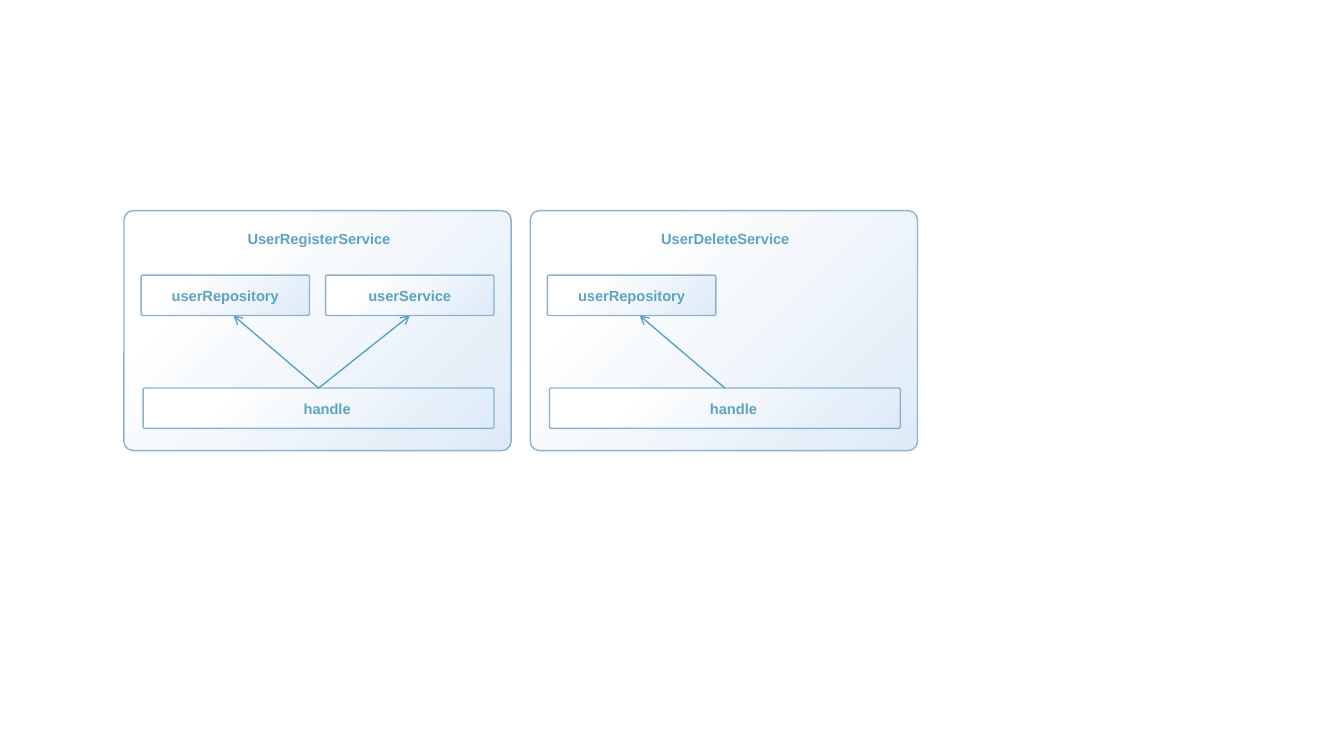
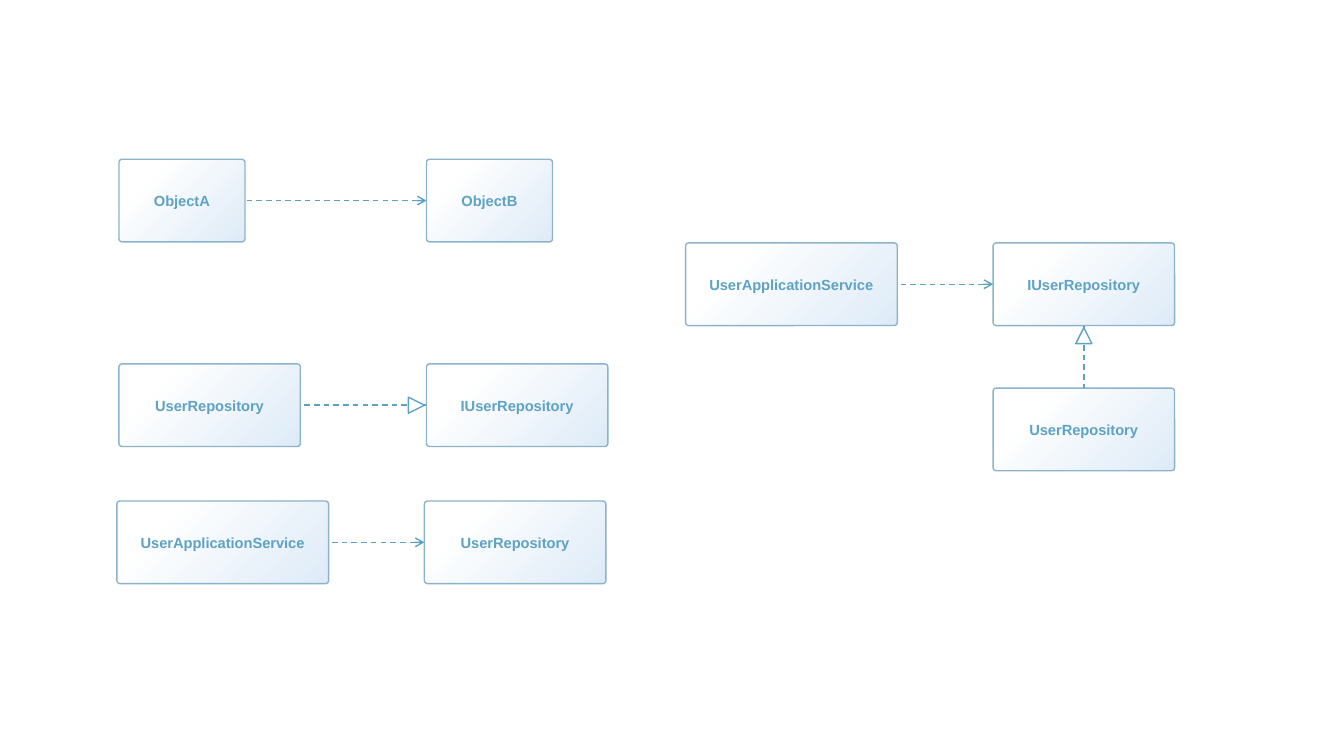
from dataclasses import dataclass

from lxml.etree import SubElement
from pptx import Presentation
from pptx.dml.color import RGBColor
from pptx.enum.dml import MSO_LINE
from pptx.enum.shapes import MSO_CONNECTOR, MSO_SHAPE
from pptx.enum.text import MSO_ANCHOR, PP_ALIGN
from pptx.oxml.ns import qn
from pptx.util import Inches, Pt


@dataclass(frozen=True)
class Theme:
    font: str = "Arial"
    label_size: float = 10.5
    line_width: float = 1
    corner: float = 0.038
    text: RGBColor = RGBColor(0x5E, 0xA2, 0xC4)
    border: RGBColor = RGBColor(0x8D, 0xB3, 0xCC)
    arrow: RGBColor = RGBColor(0x5D, 0xA2, 0xC5)
    white: RGBColor = RGBColor(0xFF, 0xFF, 0xFF)
    tint: RGBColor = RGBColor(0xDE, 0xEB, 0xF7)


THEME = Theme()

SERVICES = [
    ("UserRegisterService", ["userRepository", "userService"], "handle"),
    ("UserDeleteService", ["userRepository"], "handle"),
]
SERVICE_LEFT, SERVICE_TOP, SERVICE_PITCH = 1.23, 2.09, 4.03
SERVICE_SIZE = (3.84, 2.38)
FIELD_SIZE, FIELD_PITCH, FIELD_TOP = (1.67, 0.4), 1.83, 2.73
METHOD_SIZE, METHOD_TOP = (3.48, 0.4), 3.85
FIELD_INSET, METHOD_INSET = 0.17, 0.19
ARROW_SHIFTS = [0.08, 0]

CLASS_HEIGHT = 0.82
CLASSES = {
    "object_a": ("ObjectA", 1.18, 1.58, 1.25),
    "object_b": ("ObjectB", 4.23, 1.58, 1.25),
    "implementation": ("UserRepository", 1.18, 3.61, 1.8),
    "interface": ("IUserRepository", 4.23, 3.61, 1.8),
    "direct_service": ("UserApplicationService", 1.16, 4.97, 2.1),
    "direct_repository": ("UserRepository", 4.21, 4.97, 1.8),
    "inverted_service": ("UserApplicationService", 6.8, 2.41, 2.1),
    "inverted_interface": ("IUserRepository", 9.85, 2.41, 1.8),
    "inverted_repository": ("UserRepository", 9.85, 3.85, 1.8),
}
TOP, LEFT, BOTTOM, RIGHT = range(4)
DEPENDENCIES = [
    ("object_a", "object_b"),
    ("direct_service", "direct_repository"),
    ("inverted_service", "inverted_interface"),
]
REALIZATIONS = [
    ("implementation", RIGHT, "interface", LEFT),
    ("inverted_repository", TOP, "inverted_interface", BOTTOM),
]
TRIANGLE_SIZE, TRIANGLE_DISTANCE = 0.16, 0.1


def write_label(shape, text, *, size=THEME.label_size, color=THEME.text, bold=True,
                anchor=MSO_ANCHOR.MIDDLE, inset_left=0, inset_top=0):
    frame = shape.text_frame
    frame.word_wrap = True
    frame.vertical_anchor = anchor
    frame.margin_left, frame.margin_top = Inches(inset_left), Inches(inset_top)
    frame.margin_right = frame.margin_bottom = 0
    paragraph = frame.paragraphs[0]
    paragraph.alignment = PP_ALIGN.CENTER
    run = paragraph.add_run()
    run.text = text
    run.font.name, run.font.size, run.font.bold = THEME.font, Pt(size), bold
    run.font.color.rgb = color


def add_box(slide, text, left, top, size, **label_format):
    shape = slide.shapes.add_shape(
        MSO_SHAPE.ROUNDED_RECTANGLE, Inches(left), Inches(top), *map(Inches, size))
    shape.shadow.inherit = False
    shape.adjustments[0] = THEME.corner
    shape.fill.gradient()
    shape.fill.gradient_angle = 315
    stops = [(0.21, THEME.white), (1, THEME.tint)]
    for stop, (position, color) in zip(shape.fill.gradient_stops, stops):
        stop.position, stop.color.rgb = position, color
    shape.line.color.rgb = THEME.border
    shape.line.width = Pt(THEME.line_width)
    write_label(shape, text, **label_format)
    return shape


def add_arrow(slide, target=(0, 0), source=(0, 0), dashed=False, open_head=True):
    connector = slide.shapes.add_connector(
        MSO_CONNECTOR.STRAIGHT, *map(Inches, (*target, *source)))
    connector.line.color.rgb = THEME.arrow
    connector.line.width = Pt(THEME.line_width)
    if dashed:
        connector.line.dash_style = MSO_LINE.DASH
    if open_head:
        SubElement(connector.line._get_or_add_ln(), qn("a:headEnd"), type="arrow")
    SubElement(connector._element.spPr, qn("a:effectLst"))
    return connector


def connect(slide, source, source_side, target, target_side, open_head=True):
    connector = add_arrow(slide, dashed=True, open_head=open_head)
    connector.begin_connect(target, target_side)
    connector.end_connect(source, source_side)
    return connector


def add_triangle(slide, connector, target_side):
    offset = Inches(TRIANGLE_DISTANCE)
    center_x, center_y = connector.begin_x, connector.begin_y
    if target_side == LEFT:
        center_x -= offset
    else:
        center_y += offset
    size = Inches(TRIANGLE_SIZE)
    triangle = slide.shapes.add_shape(
        MSO_SHAPE.ISOSCELES_TRIANGLE, center_x - size // 2, center_y - size // 2, size, size)
    triangle.shadow.inherit = False
    triangle.rotation = 90 if target_side == LEFT else 0
    triangle.fill.solid()
    triangle.fill.fore_color.rgb = THEME.white
    triangle.line.color.rgb = THEME.arrow
    triangle.line.width = Pt(THEME.line_width)


def build_services(slide):
    for index, (name, fields, method) in enumerate(SERVICES):
        left = SERVICE_LEFT + index * SERVICE_PITCH
        add_box(slide, name, left, SERVICE_TOP, SERVICE_SIZE,
                anchor=MSO_ANCHOR.TOP, inset_left=0.03, inset_top=0.16)
        method_left = left + METHOD_INSET
        add_box(slide, method, method_left, METHOD_TOP, METHOD_SIZE, inset_left=0.17)
        method_center = method_left + METHOD_SIZE[0] / 2
        for column, (field, shift) in enumerate(zip(fields, ARROW_SHIFTS)):
            field_left = left + FIELD_INSET + column * FIELD_PITCH
            add_box(slide, field, field_left, FIELD_TOP, FIELD_SIZE)
            target = (field_left + FIELD_SIZE[0] / 2 + shift, FIELD_TOP + FIELD_SIZE[1])
            add_arrow(slide, target, (method_center, METHOD_TOP))


def build_dependencies(slide):
    boxes = {
        key: add_box(slide, name, left, top, (width, CLASS_HEIGHT))
        for key, (name, left, top, width) in CLASSES.items()
    }
    for source, target in DEPENDENCIES:
        connect(slide, boxes[source], RIGHT, boxes[target], LEFT)
    for source, source_side, target, target_side in REALIZATIONS:
        connector = connect(slide, boxes[source], source_side,
                            boxes[target], target_side, open_head=False)
        add_triangle(slide, connector, target_side)


def main():
    presentation = Presentation()
    presentation.slide_width, presentation.slide_height = Inches(13.33), Inches(7.5)
    blank_layout = presentation.slide_layouts[6]
    for build in (build_services, build_dependencies):
        build(presentation.slides.add_slide(blank_layout))
    presentation.save("out.pptx")


if __name__ == "__main__":
    main()
